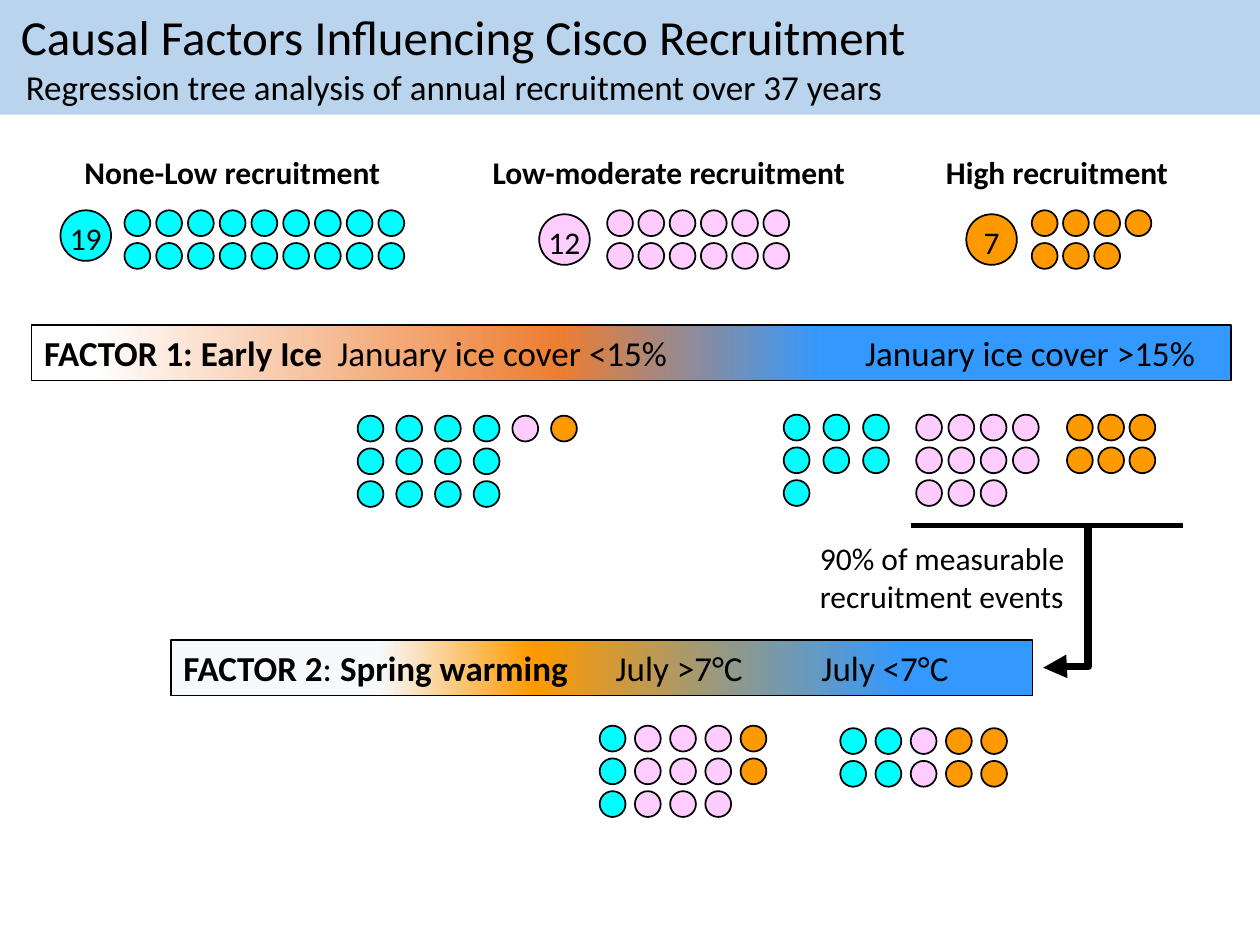
from lxml.etree import SubElement
from pptx import Presentation
from pptx.dml.color import RGBColor
from pptx.enum.shapes import MSO_CONNECTOR, MSO_SHAPE
from pptx.enum.text import MSO_ANCHOR, MSO_AUTO_SIZE, PP_ALIGN
from pptx.oxml.ns import qn
from pptx.util import Cm, Pt

NONE_LOW, MODERATE, HIGH = "00FFFF", "FFCCFF", "FF9900"
CLASS_COLORS = {"N": NONE_LOW, "M": MODERATE, "H": HIGH}
BLACK = "000000"
DOT, COUNT_SIZE, ROW_PITCH = 0.52, 1.02, 0.66


def color(hex_string):
    return RGBColor.from_string(hex_string)


def style_text(paragraph, size, bold=None, align=PP_ALIGN.LEFT):
    paragraph.alignment = align
    font = paragraph.font
    font.name, font.size, font.bold = "Calibri", Pt(size), bold
    font.color.rgb = color(BLACK)


def outlined(slide, kind, left, top, width, height, line_width):
    shape = slide.shapes.add_shape(kind, Cm(left), Cm(top), Cm(width), Cm(height))
    shape.shadow.inherit = False
    shape.line.color.rgb = color(BLACK)
    shape.line.width = Pt(line_width)
    return shape


def circle(slide, left, top, size, fill):
    disc = outlined(slide, MSO_SHAPE.OVAL, left, top, size, size, 1)
    disc.fill.solid()
    disc.fill.fore_color.rgb = color(fill)
    return disc


def dot_grid(slide, left, top, pitch, rows):
    for row, codes in enumerate(rows):
        for column, code in enumerate(codes):
            circle(slide, left + column * pitch, top + row * ROW_PITCH,
                   DOT, CLASS_COLORS[code])


def label(slide, left, top, width, height, text, bold=None, wrap=False):
    box = slide.shapes.add_textbox(Cm(left), Cm(top), Cm(width), Cm(height))
    box.text_frame.word_wrap = wrap
    paragraph = box.text_frame.paragraphs[0]
    paragraph.text = text
    style_text(paragraph, 18, bold)


def banner(slide, left, top, width, height):
    title = slide.shapes.title
    title.left, title.top, title.width, title.height = map(Cm, (left, top, width, height))
    title.fill.solid()
    title.fill.fore_color.rgb = color("9DC3E6")
    tint = title._element.spPr.find(qn("a:solidFill"))[0]
    SubElement(tint, qn("a:alpha"), val="70000")
    frame = title.text_frame
    frame.auto_size = MSO_AUTO_SIZE.NONE
    frame.vertical_anchor = MSO_ANCHOR.TOP
    frame.margin_left = Cm(0.42)
    frame.text = ("Causal Factors Influencing Cisco Recruitment\n"
                  "Regression tree analysis of annual recruitment over 37 years")
    heading, subtitle = frame.paragraphs
    subtitle._p.get_or_add_pPr().set("marL", str(Cm(0.1)))
    style_text(heading, 28)
    style_text(subtitle, 20)


def recruitment_class(slide, left, top, name, name_width, fill, count_at, dots_at, pitch, rows):
    label(slide, left, top, name_width, 1.02, name, bold=True)
    count_left, count_top = count_at
    count = circle(slide, left + count_left, top + count_top, COUNT_SIZE, fill)
    frame = count.text_frame
    frame.margin_left = frame.margin_right = frame.margin_bottom = 0
    frame.margin_top = Cm(0.1)
    frame.word_wrap = False
    frame.vertical_anchor = MSO_ANCHOR.MIDDLE
    number = frame.paragraphs[0]
    number.text = str(sum(map(len, rows)) + (fill == NONE_LOW))
    style_text(number, 18, align=PP_ALIGN.CENTER)
    dot_grid(slide, left + dots_at, top + 1.27, pitch, rows)


def factor_bar(slide, left, top, width, height, stops, tabs, runs):
    bar = outlined(slide, MSO_SHAPE.RECTANGLE, left, top, width, height, 0.75)
    bar.fill.gradient()
    bar.fill.gradient_angle = 0
    stop_list = bar._element.spPr.find(qn("a:gradFill")).find(qn("a:gsLst"))
    for stop in list(stop_list):
        stop_list.remove(stop)
    for percent, fill in stops:
        stop = SubElement(stop_list, qn("a:gs"), pos=str(percent * 1000))
        SubElement(stop, qn("a:srgbClr"), val=fill)
    paragraph = bar.text_frame.paragraphs[0]
    tab_list = SubElement(paragraph._p.get_or_add_pPr(), qn("a:tabLst"))
    for position in tabs:
        SubElement(tab_list, qn("a:tab"), pos=str(Cm(position)), algn="l")
    style_text(paragraph, 20)
    for text, bold in runs:
        run = paragraph.add_run()
        run.text = text
        run.font.bold = bold


def connector(slide, kind, start, end, width):
    line = slide.shapes.add_connector(kind, *map(Cm, start + end))
    line.line.color.rgb = color(BLACK)
    line.line.width = Pt(width)
    SubElement(line._element.spPr, qn("a:effectLst"))
    return line


def measurable_events(slide, left, top):
    connector(slide, MSO_CONNECTOR.STRAIGHT, (left + 2.08, top), (left + 7.57, top), 3)
    label(slide, left, top + 0.15, 5.94, 1.8,
          "90% of measurable recruitment events", wrap=True)
    arrow = connector(slide, MSO_CONNECTOR.ELBOW,
                      (left + 3.76, top + 0.97), (left + 6.65, top + 1.88), 4.5)
    properties = arrow._element.spPr
    properties.find(qn("a:xfrm")).set("rot", "5400000")
    adjustments = properties.find(qn("a:prstGeom")).find(qn("a:avLst"))
    SubElement(adjustments, qn("a:gd"), name="adj1", fmla="val 99200")
    SubElement(properties.find(qn("a:ln")), qn("a:tailEnd"), type="triangle")


def main():
    presentation = Presentation()
    presentation.slide_width, presentation.slide_height = Cm(25.4), Cm(19.05)
    slide = presentation.slides.add_slide(presentation.slide_layouts[5])

    banner(slide, 0, 0, 25.4, 2.31)
    recruitment_class(slide, 1.45, 2.97, "None-Low recruitment", 6.53, NONE_LOW,
                      (-0.23, 1.27), 1.06, 0.64, ["N" * 9] * 2)
    recruitment_class(slide, 9.68, 2.97, "Low-moderate recruitment", 7.7, MODERATE,
                      (1.19, 1.35), 2.56, 0.63, ["M" * 6] * 2)
    recruitment_class(slide, 18.82, 2.97, "High recruitment", 5.03, HIGH,
                      (0.66, 1.35), 1.98, 0.63, ["HHHH", "HHH"])

    factor_bar(slide, 0.64, 6.55, 24.18, 1.12,
               [(5, "FFFFFF"), (44, "ED7D31"), (66, "3399FF")], (5.91, 16.55),
               [("FACTOR 1: Early Ice", True),
                ("\tJanuary ice cover <15%\tJanuary ice cover >15%", False)])
    dot_grid(slide, 7.21, 8.38, 0.78, ["NNNNMH", "NNNN", "NNNN"])
    dot_grid(slide, 15.8, 8.36, 0.8, ["NNN", "NNN", "N"])
    dot_grid(slide, 18.47, 8.36, 0.65, ["MMMM", "MMMM", "MMM"])
    dot_grid(slide, 21.51, 8.36, 0.63, ["HHH", "HHH"])
    measurable_events(slide, 16.28, 10.59)

    factor_bar(slide, 3.45, 12.9, 17.37, 1.12,
               [(24, "F7FAFD"), (42, "FF9900"), (85, "3399FF")], (8.71, 12.86),
               [("FACTOR 2", True), (": ", False), ("Spring warming", True),
                ("\tJuly >7°C\tJuly <7°C", False)])
    dot_grid(slide, 12.09, 14.63, 0.71, ["NMMMH", "NMMMH", "NMMM"])
    dot_grid(slide, 16.94, 14.68, 0.71, ["NNMHH"] * 2)

    presentation.save("out.pptx")


if __name__ == "__main__":
    main()
